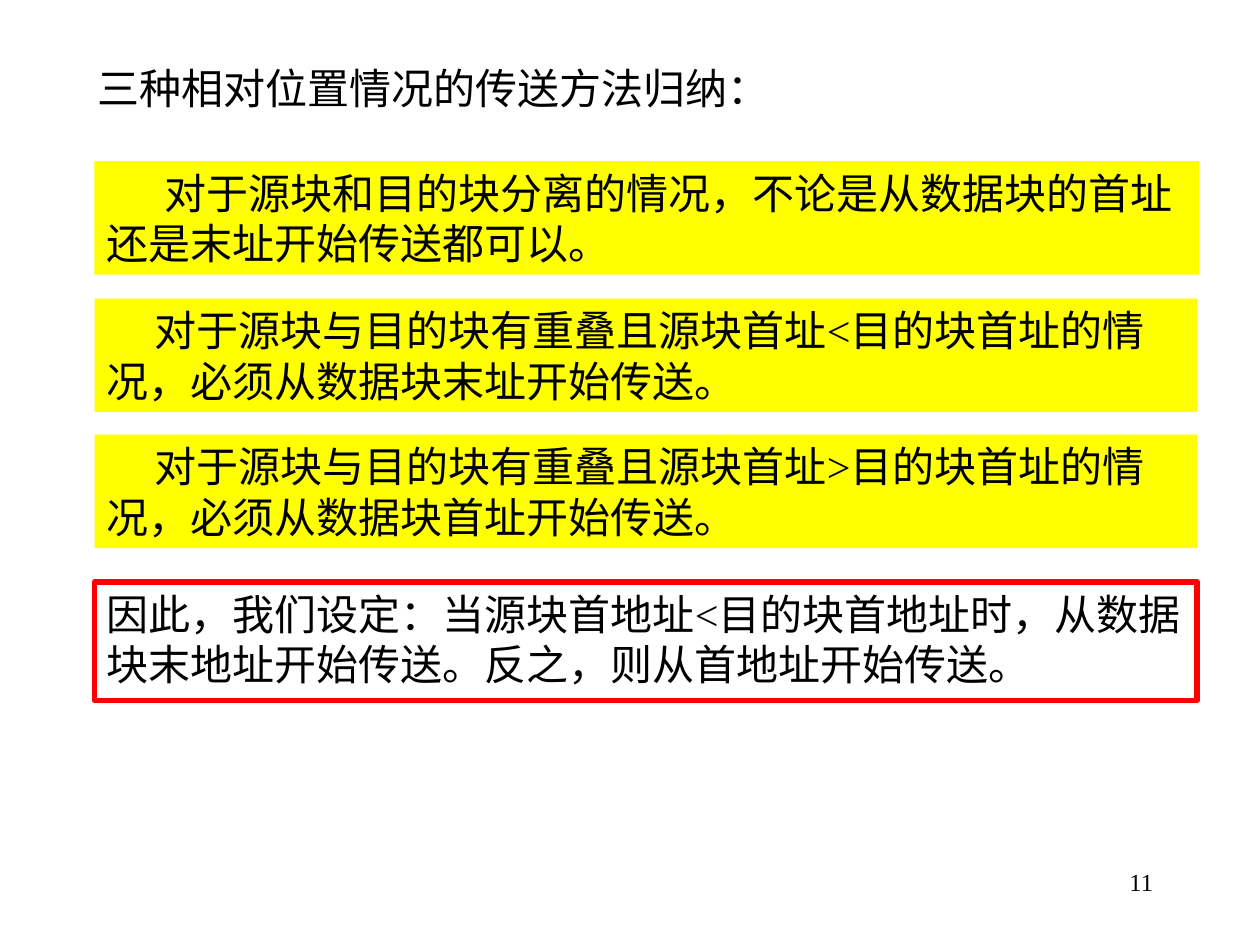
from pptx import Presentation
from pptx import util as u
from pptx.dml.color import RGBColor
from pptx.enum import shapes, text


def color(hex_value):
    return RGBColor.from_string(hex_value)


def write(shape, content, size=24, align=text.PP_ALIGN.LEFT, indent=0,
          anchor=text.MSO_ANCHOR.TOP):
    frame = shape.text_frame
    frame.word_wrap = True
    frame.auto_size = text.MSO_AUTO_SIZE.NONE
    frame.vertical_anchor = anchor
    paragraph = frame.paragraphs[0]
    paragraph.alignment = align
    if indent:
        properties = paragraph._p.get_or_add_pPr()
        properties.set("marL", "0")
        properties.set("indent", str(u.Inches(indent)))
    run = paragraph.add_run()
    run.text = content
    run.font.size = u.Pt(size)
    run.font.name = "Times New Roman"
    run.font.color.rgb = color("000000")


prs = Presentation()
prs.slide_width, prs.slide_height = u.Inches(10), u.Inches(7.5)
slide = prs.slides.add_slide(prs.slide_layouts[5])

heading = slide.shapes.title
heading.left, heading.top = u.Inches(0.67), u.Inches(0.44)
heading.width, heading.height = u.Inches(5.59), u.Inches(0.51)
write(heading, "三种相对位置情况的传送方法归纳：", anchor=text.MSO_ANCHOR.MIDDLE)

statements = [
    (1.28, 8.77, 0.9, "FFFF00", None, 0.46,
     "对于源块和目的块分离的情况，不论是从数据块的首址还是末址开始传送都可以。"),
    (2.37, 8.75, 0.9, "FFFF00", None, 0.38,
     "对于源块与目的块有重叠且源块首址<目的块首址的情况，必须从数据块末址开始传送。"),
    (3.45, 8.75, 0.9, "FFFF00", None, 0.38,
     "对于源块与目的块有重叠且源块首址>目的块首址的情况，必须从数据块首址开始传送。"),
    (4.62, 8.75, 0.94, "FFFFFF", "FF0000", 0,
     "因此，我们设定：当源块首地址<目的块首地址时，从数据块末地址开始传送。反之，则从首地址开始传送。"),
]
for top, width, height, fill, border, indent, content in statements:
    statement = slide.shapes.add_shape(
        shapes.MSO_SHAPE.RECTANGLE, u.Inches(0.75), u.Inches(top),
        u.Inches(width), u.Inches(height))
    statement.shadow.inherit = False
    statement.fill.solid()
    statement.fill.fore_color.rgb = color(fill)
    if border:
        statement.line.color.rgb = color(border)
        statement.line.width = u.Pt(3)
    else:
        statement.line.fill.background()
    write(statement, content, indent=indent)

page_number = slide.shapes.add_textbox(
    u.Inches(7.17), u.Inches(6.83), u.Inches(2.08), u.Inches(0.5))
write(page_number, "11", size=14, align=text.PP_ALIGN.RIGHT)

prs.save("out.pptx")
